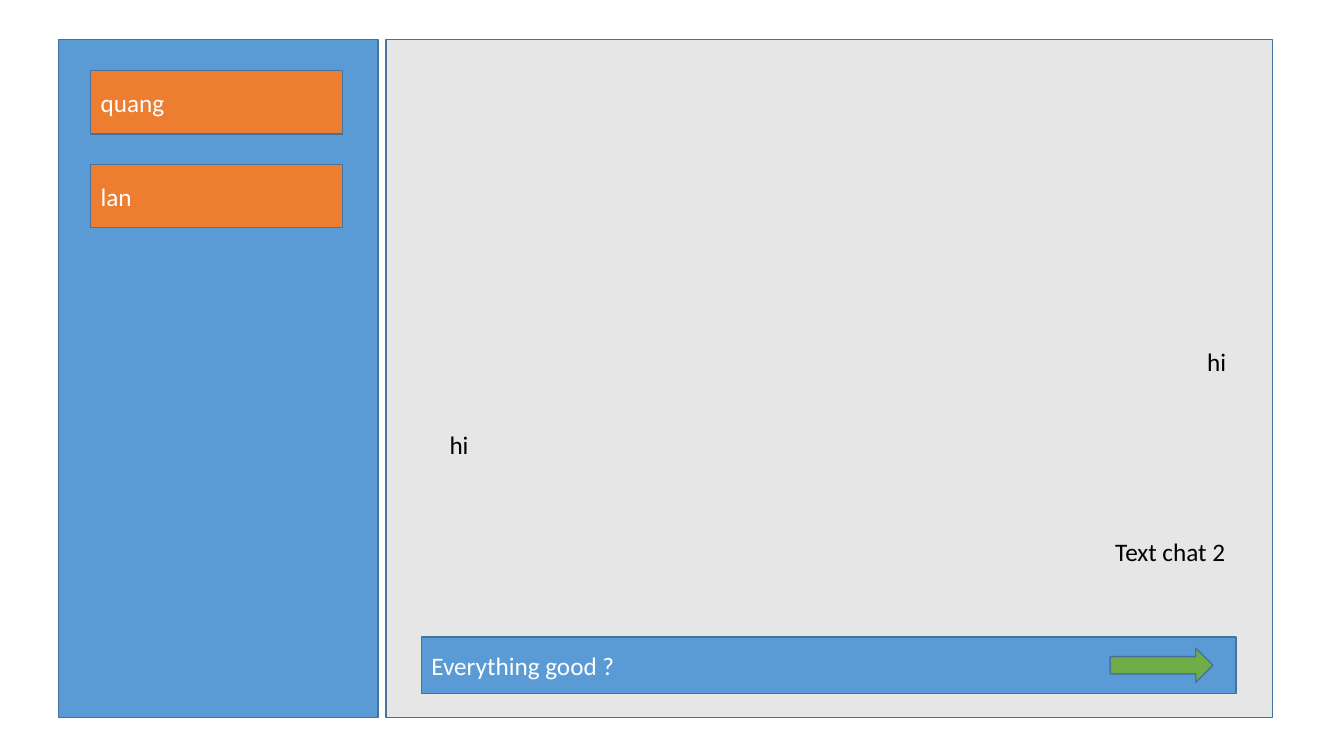
from pptx import Presentation
from pptx import util as u
from pptx.dml.color import RGBColor
from pptx.enum import shapes, text

CELL = 0.1  # inches per grid column and row
COLUMNS, ROWS = 133.3, 75

BLUE, ORANGE, GREEN, GREY = "5B9BD5", "ED7D31", "70AD47", "E7E6E6"
OUTLINE, WHITE, BLACK = "43739E", "FFFFFF", "000000"
LEFT, RIGHT = text.PP_ALIGN.LEFT, text.PP_ALIGN.RIGHT


def grid(cells):
    """Length of a number of grid cells."""
    return u.Inches(cells * CELL)


def colour(value):
    return RGBColor.from_string(value)


class ChatSlide:
    font_name = "Calibri"
    font_size = u.Pt(18)
    line_width = u.Pt(1)

    def __init__(self, presentation):
        self.slide = presentation.slides.add_slide(presentation.slide_layouts[6])

    def set_words(self, shape, words, font_colour, align=LEFT):
        text_frame = shape.text_frame
        text_frame.word_wrap = True
        text_frame.text = words
        paragraph = text_frame.paragraphs[0]
        paragraph.alignment = align
        font = paragraph.runs[0].font
        font.name, font.size = self.font_name, self.font_size
        font.color.rgb = colour(font_colour)

    def box(self, column, row, width, height, fill, words="",
            kind=shapes.MSO_SHAPE.RECTANGLE):
        shape = self.slide.shapes.add_shape(
            kind, grid(column), grid(row), grid(width), grid(height))
        shape.shadow.inherit = False
        shape.fill.solid()
        shape.fill.fore_color.rgb = colour(fill)
        shape.line.color.rgb = colour(OUTLINE)
        shape.line.width = self.line_width
        if words:
            shape.text_frame.vertical_anchor = text.MSO_ANCHOR.MIDDLE
            self.set_words(shape, words, WHITE)

    def message(self, column, row, words, align=LEFT):
        shape = self.slide.shapes.add_textbox(
            grid(column), grid(row), grid(28.5), grid(4))
        self.set_words(shape, words, BLACK, align)
        shape.text_frame.auto_size = text.MSO_AUTO_SIZE.SHAPE_TO_FIT_TEXT

    def arrow(self, column, row, width, height, fill):
        self.box(column, row, width, height, fill,
                 kind=shapes.MSO_SHAPE.RIGHT_ARROW)


def main():
    presentation = Presentation()
    presentation.slide_width = grid(COLUMNS)
    presentation.slide_height = grid(ROWS)
    chat = ChatSlide(presentation)

    # Contact list
    chat.box(5.8, 3.9, 31.7, 67.3, BLUE)
    for index, contact in enumerate(["quang", "lan"]):
        chat.box(9, 7 + index * 9.3, 25, 6.3, ORANGE, contact)

    # Conversation
    chat.box(38.3, 3.9, 87.9, 67.3, GREY)
    chat.message(94.1, 33.9, "hi", RIGHT)
    chat.message(43.6, 42.1, "hi")
    chat.message(94, 52.7, "Text chat 2", RIGHT)

    # Message entry with send arrow
    chat.box(41.8, 63.2, 80.8, 5.6, BLUE, "Everything good ?")
    chat.arrow(110.1, 64.3, 10.2, 3.4, GREEN)

    presentation.save("out.pptx")


if __name__ == "__main__":
    main()
